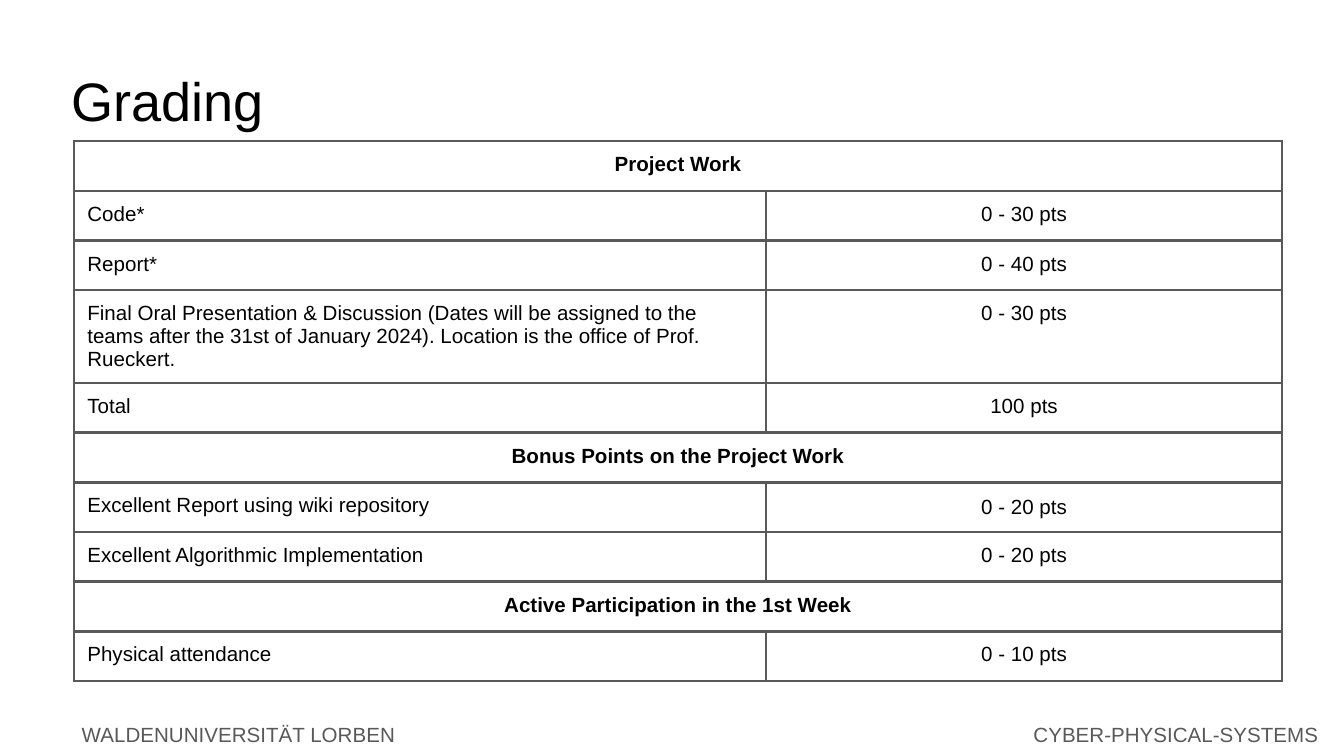
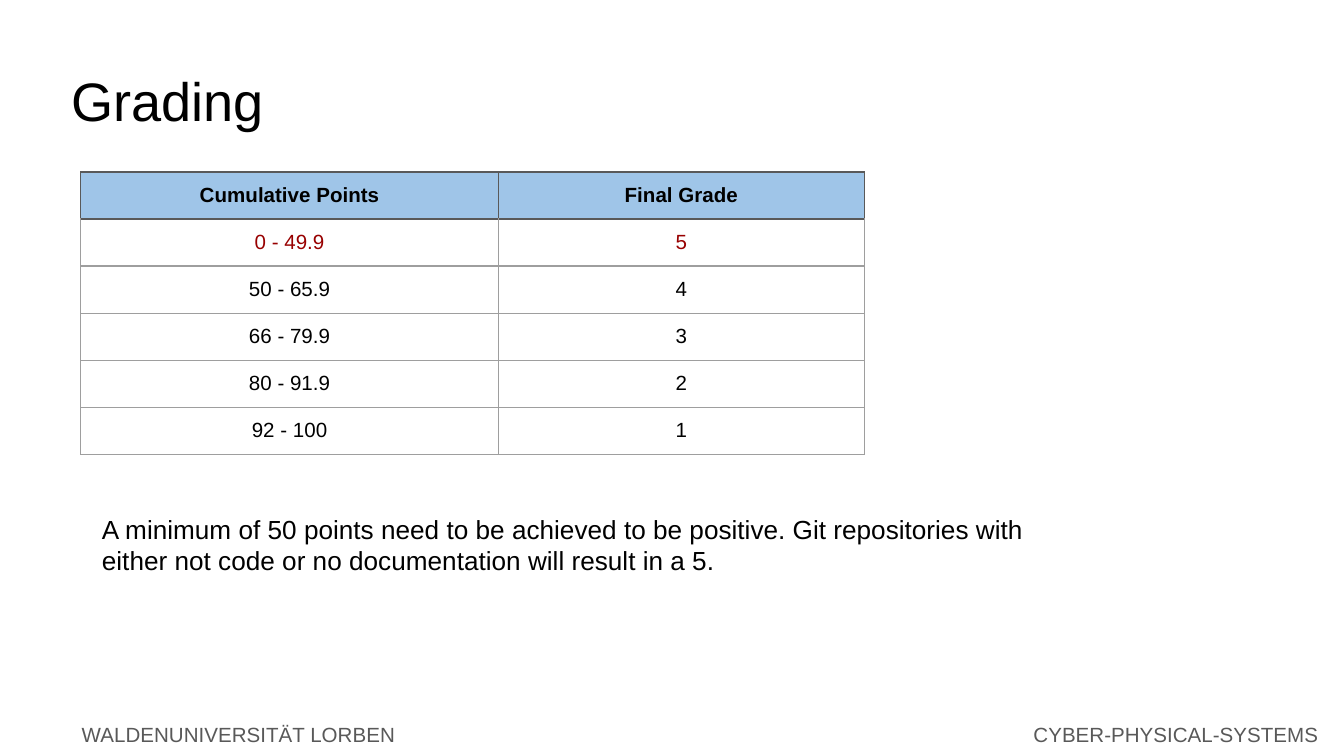
from dataclasses import dataclass

from lxml.etree import SubElement
from pptx import Presentation
from pptx.dml.color import RGBColor
from pptx.enum.text import MSO_ANCHOR, MSO_AUTO_SIZE, PP_ALIGN
from pptx.oxml.ns import qn
from pptx.util import Inches, Pt


@dataclass(frozen=True)
class Theme:
    font: str = "Arial"
    text: str = "000000"
    muted: str = "595959"
    grid: str = "9E9E9E"
    header: str = "9FC5E8"
    fail: str = "980000"
    title_size: int = 29
    body_size: int = 14
    small_size: int = 11


THEME = Theme()

PROJECT_ROWS = [
    ("Project Work",),
    ("Code*", "0 - 30 pts"),
    ("Report*", "0 - 40 pts"),
    ("Final Oral Presentation & Discussion (Dates will be assigned to the teams "
     "after the 31st of January 2024). Location is the office of Prof. Rueckert.",
     "0 - 30 pts"),
    ("Total ", "100 pts"),
    ("Bonus Points on the Project Work",),
    ("Excellent Report using wiki repository", "0 - 20 pts"),
    ("Excellent Algorithmic Implementation", "0 - 20 pts"),
    ("Active Participation in the 1st Week",),
    ("Physical attendance", "0 - 10 pts"),
]
CENTERED_POINTS_ROW = 6

GRADE_ROWS = [
    ("Cumulative Points", "Final Grade"),
    ("0 - 49.9", "5"),
    ("50 - 65.9", "4"),
    ("66 - 79.9", "3"),
    ("80 - 91.9", "2"),
    ("92 - 100", "1"),
]


def write(text_frame, text, size, color=THEME.text, bold=False, align=PP_ALIGN.LEFT):
    text_frame.text = text
    for paragraph in text_frame.paragraphs:
        paragraph.alignment = align
        for run in paragraph.runs:
            run.font.name = THEME.font
            run.font.size = Pt(size)
            run.font.bold = bold
            run.font.color.rgb = RGBColor.from_string(color)


def set_frame(text_frame):
    text_frame.word_wrap = True
    text_frame.auto_size = MSO_AUTO_SIZE.NONE
    text_frame.vertical_anchor = MSO_ANCHOR.TOP
    text_frame.margin_left = text_frame.margin_right = Inches(0.1)
    text_frame.margin_top = text_frame.margin_bottom = Inches(0.1)


def add_text(slide, box, text, size, **style):
    shape = slide.shapes.add_textbox(*map(Inches, box))
    set_frame(shape.text_frame)
    write(shape.text_frame, text, size, **style)
    return shape


def add_footers(layout, slide):
    footers = [
        (0.51, "WALDENUNIVERSITÄT LORBEN", PP_ALIGN.LEFT),
        (6.51, "CYBER-PHYSICAL-SYSTEMS", PP_ALIGN.RIGHT),
    ]
    for left, text, align in footers:
        shape = add_text(slide, (left, 5.27, 3.4, 0.39), text, THEME.small_size,
                         color=THEME.muted, align=align)
        layout.shapes.element.append(shape.element)


def add_titled_slide(presentation, layout, title):
    slide = presentation.slides.add_slide(layout)
    shape = slide.shapes.title
    shape.left, shape.top = Inches(0.43), Inches(0.4)
    shape.width, shape.height = Inches(8.14), Inches(0.54)
    set_frame(shape.text_frame)
    write(shape.text_frame, title, THEME.title_size)
    return slide


def set_borders(cell, width, color, top_color=None):
    properties = cell._tc.get_or_add_tcPr()
    for index, side in enumerate(("lnL", "lnR", "lnT", "lnB")):
        line = SubElement(properties, qn(f"a:{side}"), w=str(Pt(width)))
        fill = SubElement(line, qn("a:solidFill"))
        line_color = top_color if side == "lnT" and top_color else color
        SubElement(fill, qn("a:srgbClr"), val=line_color)
        properties.insert(index, line)


def add_grid(slide, left, top, widths, row_height, row_count):
    frame = slide.shapes.add_table(
        row_count, len(widths), Inches(left), Inches(top),
        Inches(sum(widths)), Inches(row_height * row_count))
    table = frame.table
    table.first_row = table.horz_banding = False
    for column, width in zip(table.columns, widths):
        column.width = Inches(width)
    for row in table.rows:
        row.height = Inches(row_height)
    for cell in table.iter_cells():
        cell.margin_left = cell.margin_right = Inches(0.1)
        cell.margin_top = cell.margin_bottom = Inches(0.09)
        cell.fill.background()
    return table


def add_project_table(slide):
    table = add_grid(slide, 0.55, 1.05, (5.15, 3.84), 0.37, len(PROJECT_ROWS))
    for cell in table.iter_cells():
        set_borders(cell, 1.5, THEME.muted)
    for row, values in enumerate(PROJECT_ROWS):
        is_section = len(values) == 1
        if is_section:
            table.cell(row, 0).merge(table.cell(row, 1))
        for column, value in enumerate(values):
            centered = is_section or column == 1
            write(table.cell(row, column).text_frame, value, THEME.small_size,
                  bold=is_section,
                  align=PP_ALIGN.CENTER if centered else PP_ALIGN.LEFT)
    table.cell(CENTERED_POINTS_ROW, 1).vertical_anchor = MSO_ANCHOR.MIDDLE


def add_grade_table(slide):
    table = add_grid(slide, 0.6, 1.28, (3.11, 2.72), 0.31, len(GRADE_ROWS))
    for row, values in enumerate(GRADE_ROWS):
        is_header = row == 0
        for column, value in enumerate(values):
            cell = table.cell(row, column)
            cell.vertical_anchor = MSO_ANCHOR.MIDDLE
            if is_header:
                cell.fill.solid()
                cell.fill.fore_color.rgb = RGBColor.from_string(THEME.header)
            set_borders(cell, 0.75, THEME.muted if is_header else THEME.grid,
                        top_color=THEME.muted if row == 1 else None)
            write(cell.text_frame, value, THEME.small_size,
                  color=THEME.fail if row == 1 else THEME.text,
                  bold=is_header, align=PP_ALIGN.CENTER)


def main():
    presentation = Presentation()
    presentation.slide_width = Inches(10)
    presentation.slide_height = Inches(10 * 9 / 16)
    layout = presentation.slide_layouts.get_by_name("Title Only")

    project_slide = add_titled_slide(presentation, layout, "Grading")
    add_footers(layout, project_slide)
    add_project_table(project_slide)

    grade_slide = add_titled_slide(presentation, layout, "Grading")
    add_grade_table(grade_slide)
    add_text(grade_slide, (0.66, 3.72, 7.49, 0.65),
             "A minimum of 50 points need to be achieved to be positive. "
             "Git repositories with either not code or no documentation "
             "will result in a 5. ", THEME.body_size)

    presentation.save("out.pptx")


main()
